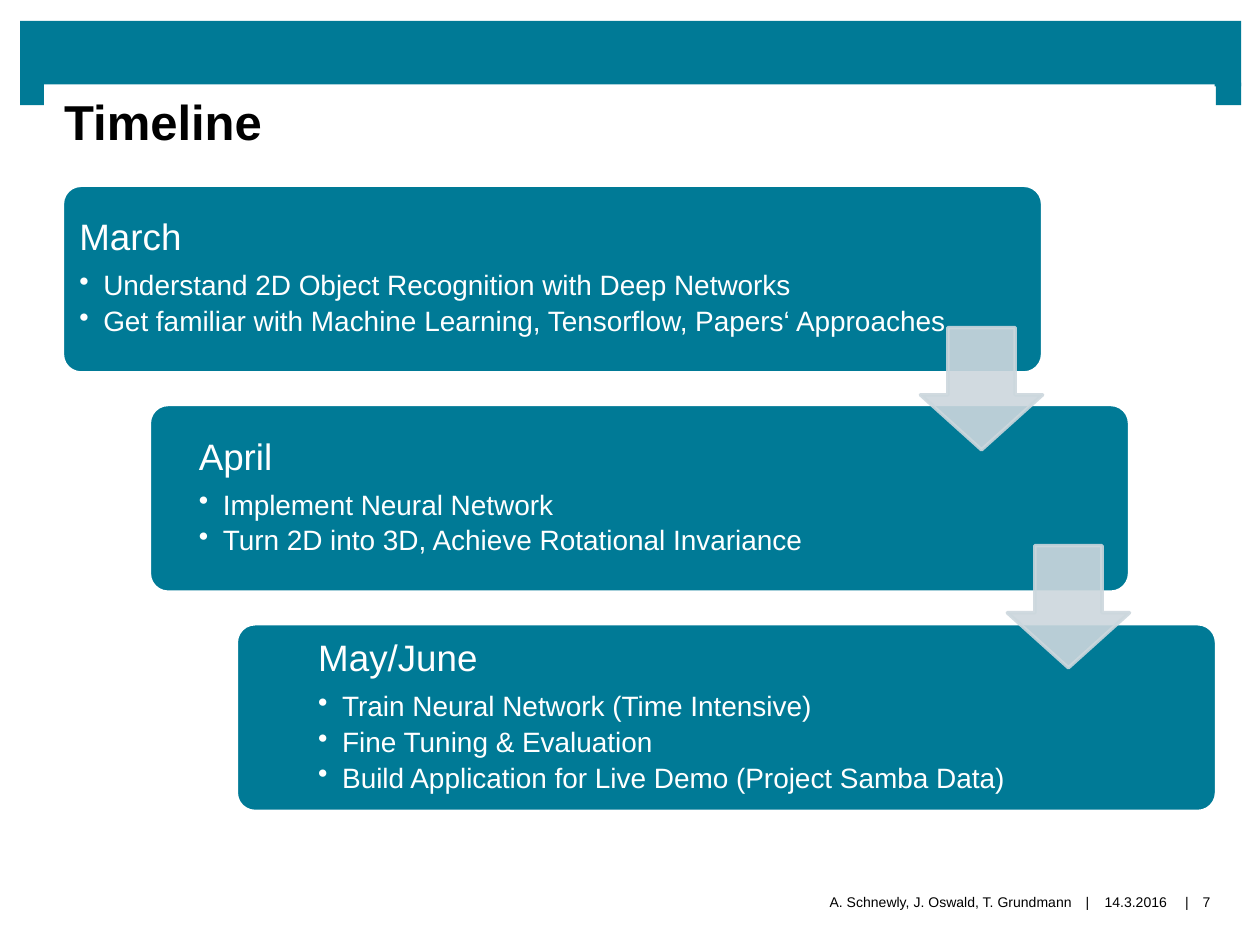
from dataclasses import dataclass

from lxml.etree import SubElement
from pptx import Presentation
from pptx.dml.color import RGBColor
from pptx.enum.shapes import MSO_SHAPE as Shape
from pptx.enum.text import MSO_ANCHOR as Anchor, PP_ALIGN as Align
from pptx.oxml.ns import qn
from pptx.util import Inches, Pt

COLUMNS, ROWS = 100, 75
COLORS = {"teal": "007A96", "arrow": "CCD7DD", "white": "FFFFFF", "black": "000000"}
FONT = "Arial"

MONTHS = [
    ("March", ["Understand 2D Object Recognition with Deep Networks",
               "Get familiar with Machine Learning, Tensorflow, Papers‘ Approaches"]),
    ("April", ["Implement Neural Network",
               "Turn 2D into 3D, Achieve Rotational Invariance"]),
    ("May/June", ["Train Neural Network (Time Intensive)",
                  "Fine Tuning & Evaluation",
                  "Build Application for Live Demo (Project Samba Data)"]),
]

presentation = Presentation()
presentation.slide_width, presentation.slide_height = Inches(10), Inches(7.5)
COLUMN = presentation.slide_width / COLUMNS
ROW = presentation.slide_height / ROWS


@dataclass
class Box:
    """A region measured in grid columns and rows."""
    left: float
    top: float
    width: float
    height: float

    def inner(self, left, top, width, height):
        return Box(self.left + left, self.top + top, width, height)

    def lengths(self):
        return (round(self.left * COLUMN), round(self.top * ROW),
                round(self.width * COLUMN), round(self.height * ROW))


def color(name):
    return RGBColor.from_string(COLORS[name])


def add_block(slide, kind, box, fill, line=None, adjustments=(), opacity=None):
    shape = slide.shapes.add_shape(kind, *box.lengths())
    shape.shadow.inherit = False
    for index, value in enumerate(adjustments):
        shape.adjustments[index] = value
    shape.fill.solid()
    shape.fill.fore_color.rgb = color(fill)
    if line:
        shape.line.color.rgb = color(line)
        shape.line.width = Pt(2)
    else:
        shape.line.fill.background()
    if opacity:
        for tint in shape.element.spPr.iter(qn("a:srgbClr")):
            SubElement(tint, qn("a:alpha"), val=str(opacity * 1000))
    return shape


def prepare_frame(shape, insets=(0, 0, 0, 0), anchor=Anchor.MIDDLE, wrap=True):
    frame = shape.text_frame
    frame.word_wrap = wrap
    frame.vertical_anchor = anchor
    (frame.margin_left, frame.margin_top,
     frame.margin_right, frame.margin_bottom) = map(Inches, insets)
    return frame


def write(paragraph, text, size, ink="black", bold=False, align=Align.LEFT,
          bullet=False, line_spacing=None, after=None):
    if bullet:
        properties = paragraph._p.get_or_add_pPr()
        properties.set("marL", str(Inches(0.19)))
        properties.set("indent", str(-Inches(0.19)))
        SubElement(properties, qn("a:buChar"), char="•")
        paragraph.level = 1
    paragraph.alignment = align
    if line_spacing:
        paragraph.line_spacing = line_spacing
    if after is not None:
        paragraph.space_after = Pt(after)
    run = paragraph.add_run()
    run.text = text
    run.font.name, run.font.size, run.font.bold = FONT, Pt(size), bold
    run.font.color.rgb = color(ink)


def add_header(slide, box):
    tab_width, tab_height = 2, 1.8
    tab_top = box.height - tab_height
    add_block(slide, Shape.RECTANGLE, box.inner(0, 0, box.width, 5.2), "teal")
    for left in (0, box.width - tab_width):
        add_block(slide, Shape.RECTANGLE,
                  box.inner(left, tab_top, tab_width, tab_height), "teal")


def add_footer(slide, box):
    entries = [("A. Schnewly, J. Oswald, T. Grundmann", 0, 35.1, Align.RIGHT),
               ("|", 35.7, 1.2, Align.CENTER),
               ("14.3.2016", 36.8, 6.7, Align.CENTER),
               ("|", 43.6, 1.2, Align.CENTER),
               ("7", 44.3, 2.9, Align.CENTER)]
    for text, left, width, align in entries:
        shape = slide.shapes.add_textbox(*box.inner(left, 0, width, box.height).lengths())
        frame = prepare_frame(shape, wrap=False)
        write(frame.paragraphs[0], text, 8, align=align)


def add_title(slide, box):
    shape = add_block(slide, Shape.RECTANGLE, box, "white")
    frame = prepare_frame(shape, (0.16, 0.06, 0.16, 0), Anchor.TOP)
    write(frame.paragraphs[0], "Timeline", 28, bold=True)


def add_month(slide, box, text_left, month, tasks):
    add_block(slide, Shape.ROUNDED_RECTANGLE, box, "teal", "white", [0.1])
    shape = slide.shapes.add_textbox(*box.inner(text_left, 0.4, 72, 14).lengths())
    frame = prepare_frame(shape, (0.09,) * 4)
    write(frame.paragraphs[0], month, 21, "white", line_spacing=0.9, after=7.4)
    for task in tasks:
        write(frame.add_paragraph(), task, 16, "white", bullet=True,
              line_spacing=0.9, after=3.2)


def add_timeline(slide, box):
    """Cascade of month cards, with an arrow from each card to the next."""
    card_width, card_height, arrow_size = 77.8, 14.9, 9.7
    gaps = len(MONTHS) - 1
    step_x = (box.width - card_width) / gaps
    step_y = (box.height - card_height) / gaps
    for index, (month, tasks) in enumerate(MONTHS):
        card = box.inner(index * step_x, index * step_y, card_width, card_height)
        add_month(slide, card, 0.45 + 2.58 * index, month, tasks)
    for index in range(gaps):
        arrow = box.inner(index * step_x + card_width - arrow_size,
                          index * (step_y - 0.1) + 11.3, arrow_size, arrow_size)
        add_block(slide, Shape.DOWN_ARROW, arrow, "arrow", "arrow", [0.55, 0.45], 90)


def main():
    slide = presentation.slides.add_slide(presentation.slide_layouts[6])
    add_header(slide, Box(1.6, 1.65, 96.9, 6.7))
    add_footer(slide, Box(50, 69, 48, 5.1))
    add_title(slide, Box(3.5, 6.7, 92.9, 10.6))
    add_timeline(slide, Box(4.95, 14.7, 91.6, 49.7))
    presentation.save("out.pptx")


if __name__ == "__main__":
    main()
